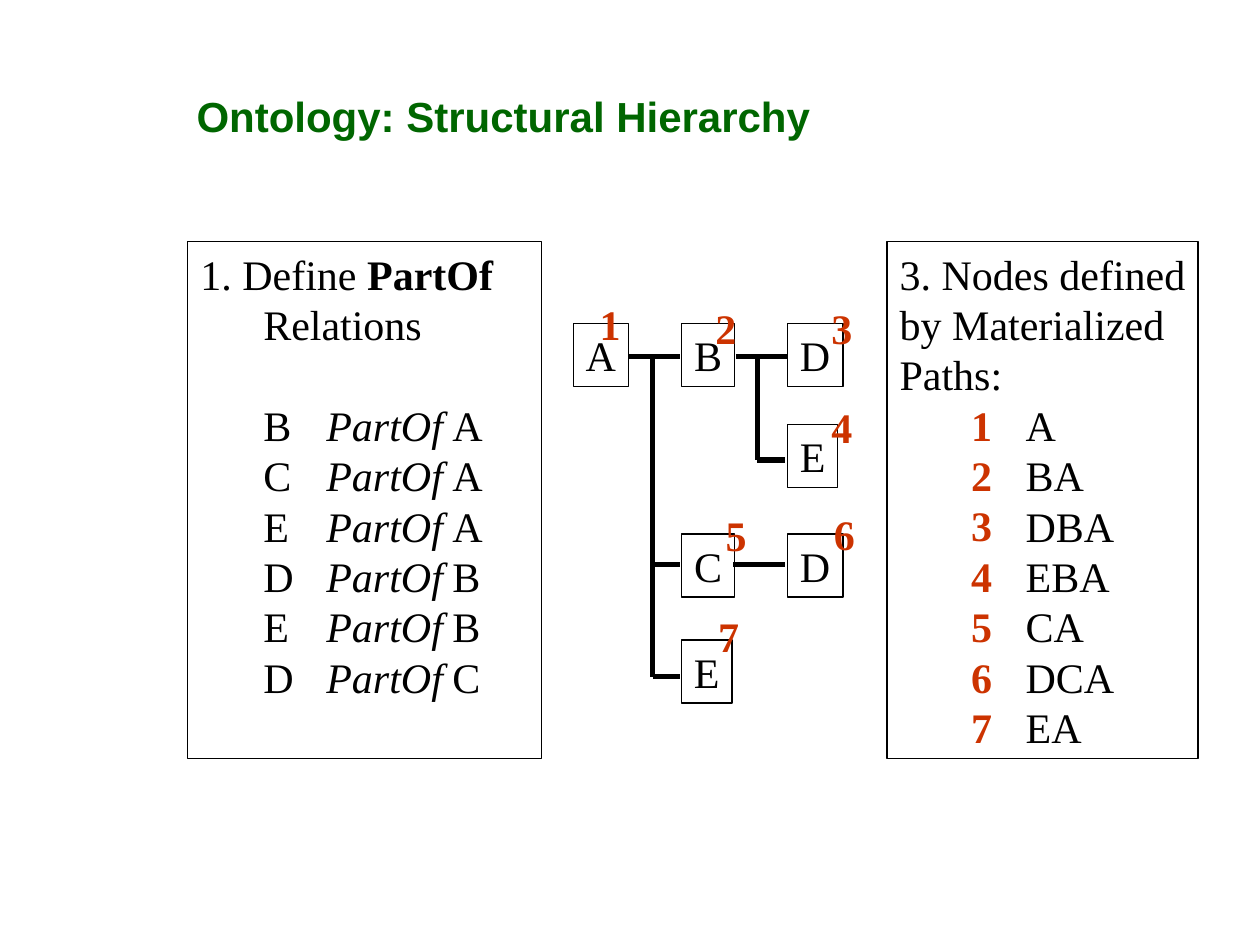
from lxml.etree import SubElement as Sub
from pptx import Presentation
from pptx.dml.color import RGBColor as Rgb
from pptx.enum.shapes import MSO_CONNECTOR as Conn, MSO_SHAPE as Shape
from pptx.enum.text import MSO_ANCHOR as Anchor, MSO_AUTO_SIZE as Auto, PP_ALIGN as Align
from pptx.oxml.ns import qn
from pptx.util import Pt

HUES = {"ink": "000000", "head": "006600", "mark": "CC3300"}
SERIF = "Times New Roman"
LEAD = 28.8
LINKS = [
    (31.7, 18.7, 61.2, 18.7), (92.9, 18.7, 122.4, 18.7),
    (105.1, 18.7, 105.1, 77.8), (105.1, 77.8, 121, 77.8),
    (45.4, 201.6, 45.4, 18.7), (45.4, 137.6, 61.2, 137.6),
    (91.4, 137.6, 121, 137.6), (45.4, 201.6, 61.2, 201.6),
]
COLS = (0, 61.9, 122.4)
ROWS = (0, 57.6, 120.2, 180.7)
WIDTHS = {"A": 31.7, "B": 30.2, "C": 30.2, "D": 31.7, "E": 28.8}
NODES = [
    ("A", 0, 0, 7.9, -18), ("B", 1, 0, 12.2, -15.8), ("D", 2, 0, 18, -15.8),
    ("E", 2, 1, 18, -16.6), ("C", 1, 2, 18, -17.3), ("D", 2, 2, 19.4, -18),
    ("E", 1, 3, 13.7, -20.2),
]
PARTS = ["BA", "CA", "EA", "DB", "EB", "DC"]
PATHS = ["A", "BA", "DBA", "EBA", "CA", "DCA", "EA"]


def style(font, hue="ink", bold=False, face=SERIF):
    """Set the common text look."""
    font.name, font.size, font.bold = face, Pt(24), bold
    font.color.rgb = Rgb.from_string(HUES[hue])


def place(shape, box):
    """Move a shape to a box in points."""
    shape.left, shape.top, shape.width, shape.height = map(Pt, box)


def setup(shape, wrap=True):
    """Prepare a text frame and return it."""
    frame = shape.text_frame
    frame.auto_size, frame.word_wrap = Auto.NONE, wrap
    frame.vertical_anchor = Anchor.TOP
    return frame


def border(shape):
    """Give a shape a thin outline and no fill."""
    shape.fill.background()
    shape.line.color.rgb = Rgb.from_string(HUES["ink"])
    shape.line.width = Pt(0.75)


def space(para):
    """Set plain left lines with even leading."""
    para.alignment = Align.LEFT
    para.line_spacing, para.space_before = Pt(LEAD), Pt(0)


def title(shape, box):
    """Fill the slide title."""
    place(shape, box)
    frame = setup(shape)
    frame.text = "Ontology: Structural Hierarchy"
    space(frame.paragraphs[0])
    style(frame.paragraphs[0].runs[0].font, "head", True, "Arial")


def panel(shape, box, rows, stops):
    """Fill an outlined list; each row is a list of text and look pairs."""
    place(shape, box)
    border(shape)
    frame = setup(shape)
    for i, row in enumerate(rows):
        para = frame.add_paragraph() if i else frame.paragraphs[0]
        props = para._p.get_or_add_pPr()
        props.set("marL", "0")
        props.set("indent", "0")
        Sub(props, qn("a:buNone"))
        tabs = Sub(props, qn("a:tabLst"))
        for stop in stops:
            Sub(tabs, qn("a:tab"), pos=str(Pt(stop)), algn="l")
        space(para)
        for text, look in row:
            run = para.add_run()
            run.text = text
            style(run.font, bold=look == "bold")
            run.font.italic = look == "slant"
    return frame


def marks(slide, box, lines):
    """Write a column of red numbers."""
    shape = slide.shapes.add_textbox(*map(Pt, box))
    frame = setup(shape, False)
    frame.text = "\n".join(lines)
    for para in frame.paragraphs:
        space(para)
        style(para.runs[0].font, "mark", True)


def tree(slide, left, top):
    """Draw the numbered node tree from its top left corner."""
    for x, y, end, low in LINKS:
        link = slide.shapes.add_connector(
            Conn.STRAIGHT, Pt(left + x), Pt(top + y), Pt(left + end), Pt(top + low))
        link.line.color.rgb = Rgb.from_string(HUES["ink"])
        link.line.width = Pt(3)
        Sub(link._element.spPr, qn("a:effectLst"))
    for i, (name, col, row, dx, dy) in enumerate(NODES, 1):
        x, y = left + COLS[col], top + ROWS[row]
        node = slide.shapes.add_shape(
            Shape.RECTANGLE, Pt(x), Pt(y), Pt(WIDTHS[name]), Pt(36))
        node.shadow.inherit = False
        border(node)
        frame = setup(node, False)
        frame.text = name
        space(frame.paragraphs[0])
        style(frame.paragraphs[0].runs[0].font)
        marks(slide, (x + dx, y + dy, 26, 36), [str(i)])


def main():
    """Build and save the slide."""
    deck = Presentation()
    deck.slide_width, deck.slide_height = Pt(720), Pt(540)
    slide = deck.slides.add_slide(deck.slide_layouts[3])
    head, first, last = slide.placeholders
    title(head, (105.1, 48.2, 450.7, 36))
    rows = [[("1. Define ", ""), ("PartOf", "bold")], [("\tRelations", "")]]
    rows += [[(f"\t{a}\t", ""), ("PartOf\t", "slant"), (b, "")] for a, b in PARTS]
    frame = panel(first, (107.3, 138.2, 202.3, 295.2), rows, (15.1, 59.8, 143.3))
    frame.paragraphs[1].space_after = Pt(LEAD)
    tree(slide, 327.6, 185)
    lines = ["3. Nodes defined", "by Materialized", "Paths:"]
    lines += ["\t\t" + path for path in PATHS]
    panel(last, (506.9, 138.2, 177.8, 295.2), [[(line, "")] for line in lines], (30.2, 75.6))
    marks(slide, (547.9, 224.6, 26, 208.8), [str(i + 1) for i in range(len(PATHS))])


    deck.save("out.pptx")


if __name__ == "__main__":
    main()
